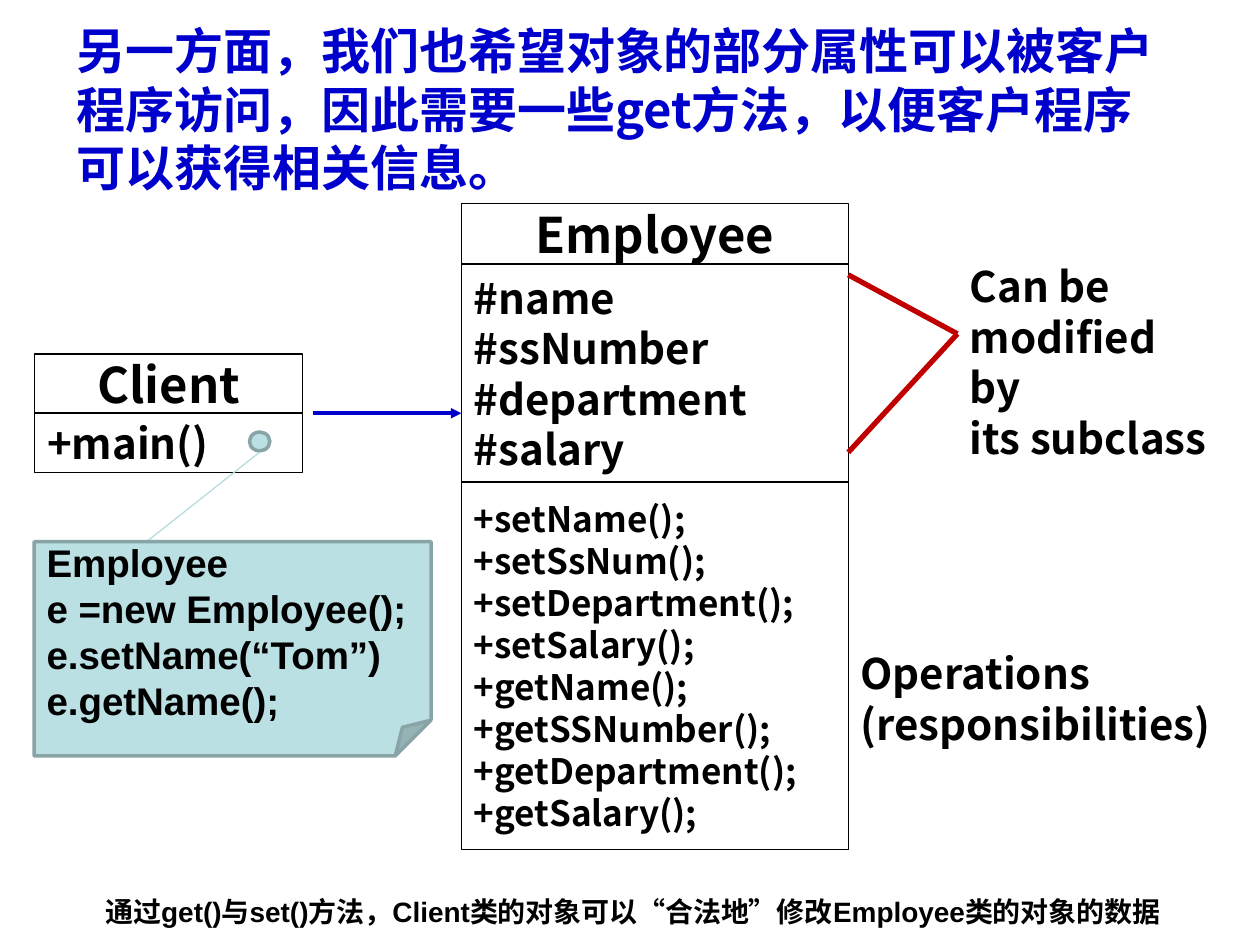
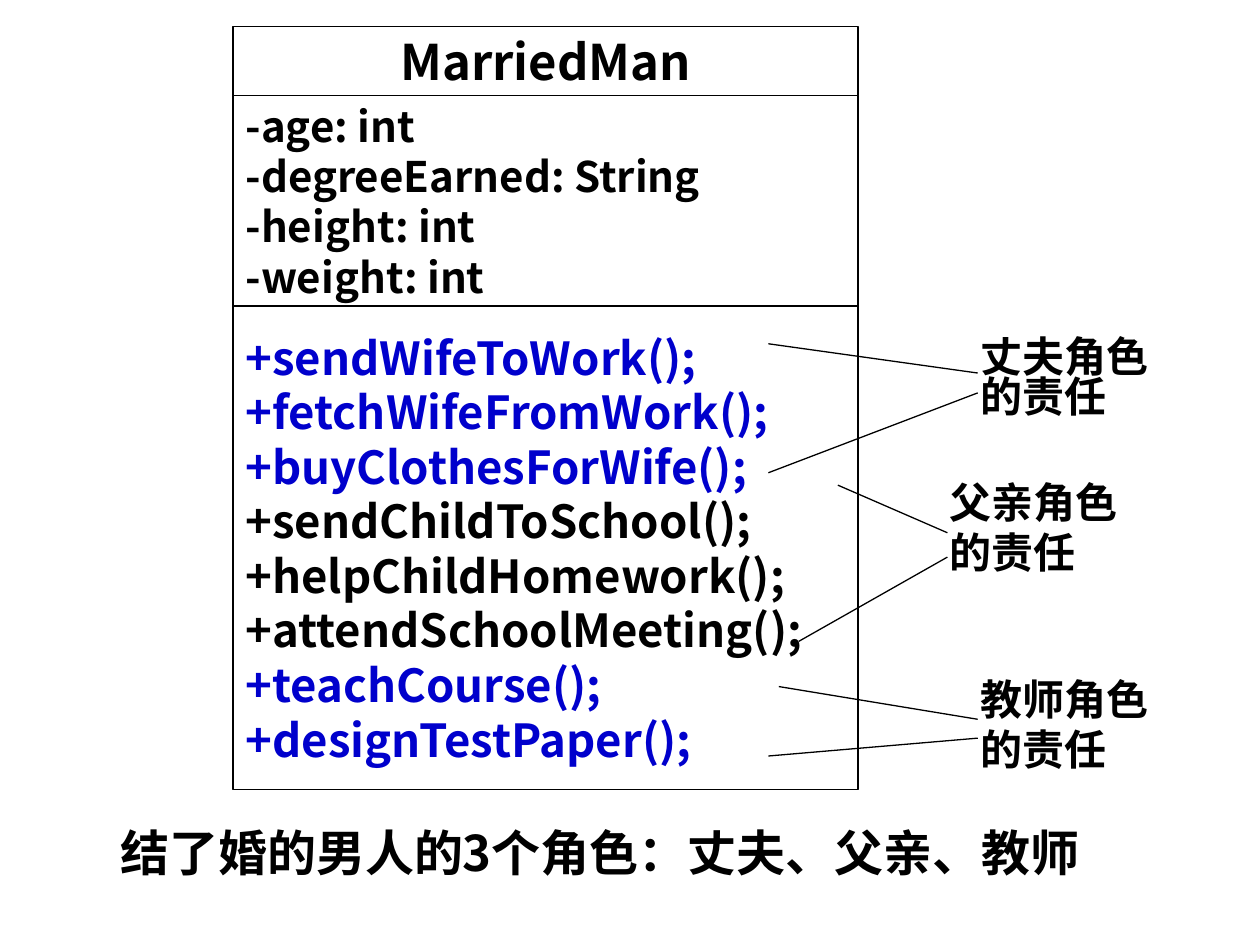
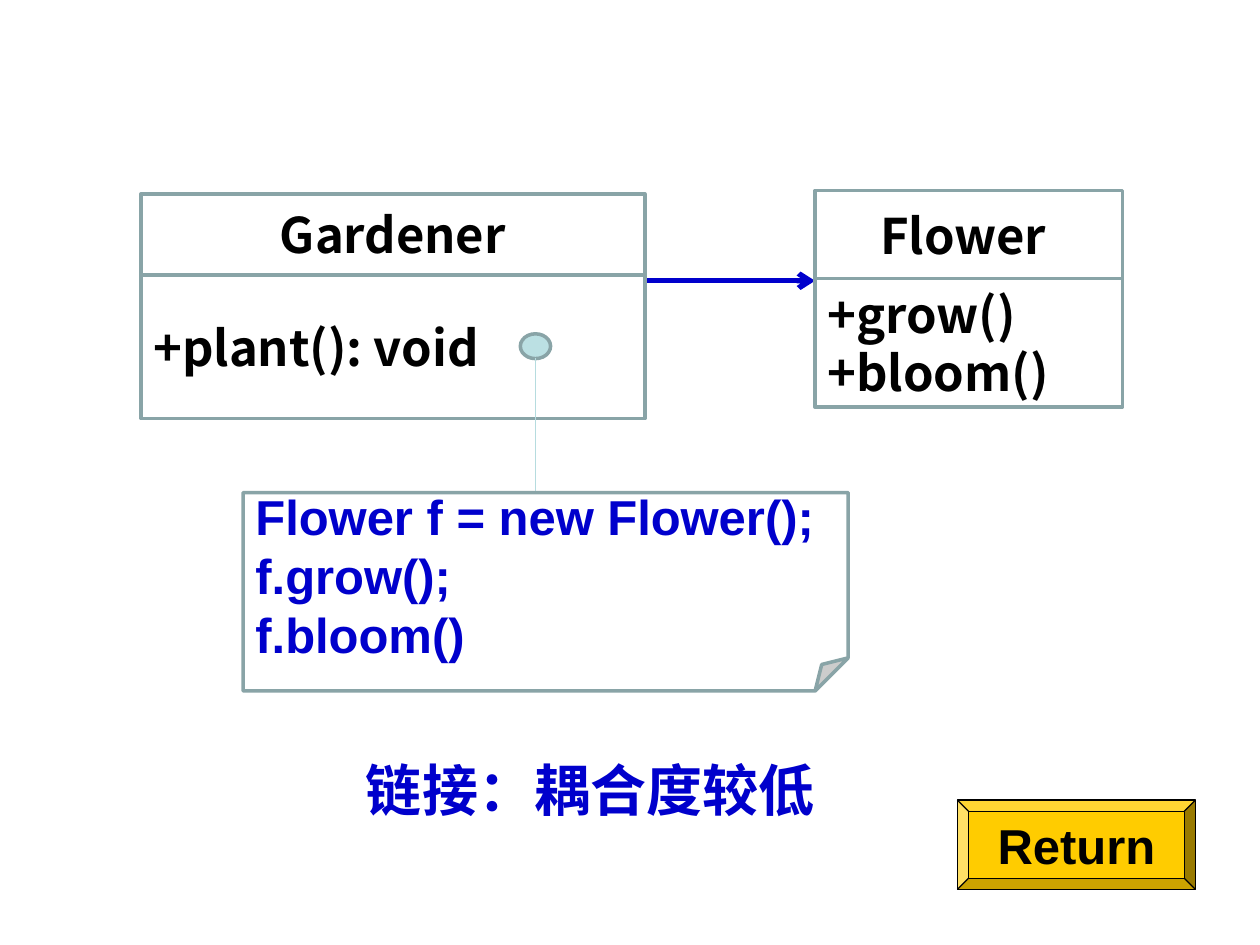
"""Build three slides of class diagrams about accessors, roles and links."""
from dataclasses import dataclass

from lxml import etree
from pptx import Presentation
from pptx.dml.color import RGBColor
from pptx.enum.shapes import MSO_CONNECTOR, MSO_SHAPE
from pptx.enum.text import MSO_ANCHOR, PP_ALIGN
from pptx.oxml.ns import qn
from pptx.util import Cm, Pt

BLACK = RGBColor(0x00, 0x00, 0x00)
WHITE = RGBColor(0xFF, 0xFF, 0xFF)
BLUE = RGBColor(0x00, 0x00, 0xCC)
RED = RGBColor(0xC0, 0x00, 0x00)
AQUA = RGBColor(0xBB, 0xE0, 0xE3)
PALE_AQUA = RGBColor(0xB6, 0xDC, 0xDF)
SLATE = RGBColor(0x89, 0xA4, 0xA7)
GOLD = RGBColor(0xFF, 0xCC, 0x00)

RECT = MSO_SHAPE.RECTANGLE
OVAL = MSO_SHAPE.OVAL
NOTE = MSO_SHAPE.FOLDED_CORNER
BEVEL = MSO_SHAPE.BEVEL
STRAIGHT = MSO_CONNECTOR.STRAIGHT
LEFT, CENTER = PP_ALIGN.LEFT, PP_ALIGN.CENTER
TOP, MIDDLE = MSO_ANCHOR.TOP, MSO_ANCHOR.MIDDLE

SANS = "Noto Sans CJK SC"
ARIAL = "Arial"


@dataclass(frozen=True)
class Area:
    """A rectangle in centimetres."""
    x: float
    y: float
    w: float
    h: float

    def emu(self):
        """Return left, top, width and height as lengths."""
        return Cm(self.x), Cm(self.y), Cm(self.w), Cm(self.h)


@dataclass(frozen=True)
class Line:
    """One paragraph of text."""
    text: str
    color: RGBColor = BLACK


@dataclass(frozen=True)
class Style:
    """How a block of text is set."""
    size: float
    font: str = SANS
    align: PP_ALIGN = LEFT
    spacing: float = 1.0


@dataclass(frozen=True)
class Outline:
    """Colour and width of a stroke."""
    color: RGBColor = BLACK
    width: float = 0.75


@dataclass(frozen=True)
class Part:
    """One compartment of a class box."""
    height: float
    style: Style
    lines: list[Line]


@dataclass(frozen=True)
class Role:
    """A label whose two lines reach into the operation list."""
    label: Area
    name: str
    upper: tuple[float, float]
    upper_tip: float
    lower_tip: float
    lower: tuple[float, float]
    spacing: float = 1.0


THIN = Outline()
FRAME = Outline(SLATE, 2)
NAME = Style(28, align=CENTER)
MEMBER = Style(24)


def lines(*texts: str, color: RGBColor = BLACK) -> list[Line]:
    """Return paragraphs that share one colour."""
    return [Line(text, color) for text in texts]


def write(sp, content: list[Line], style: Style, anchor=TOP, margin: float = 0.25) -> None:
    """Fill a shape with bold paragraphs."""
    tf = sp.text_frame
    tf.word_wrap = True
    tf.vertical_anchor = anchor
    tf.margin_left = tf.margin_right = Cm(margin)
    tf.margin_top = tf.margin_bottom = Cm(0.13)
    for i, line in enumerate(content):
        p = tf.add_paragraph() if i else tf.paragraphs[0]
        p.alignment = style.align
        p.line_spacing = style.spacing
        r = p.add_run()
        r.text = line.text
        r.font.size = Pt(style.size)
        r.font.bold = True
        r.font.name = style.font
        r.font.color.rgb = line.color
        etree.SubElement(r.font._element, qn("a:ea"), typeface=SANS)


def add_text(s, area: Area, content: list[Line], style: Style, margin: float = 0.25) -> None:
    """Place a text box."""
    write(s.shapes.add_textbox(*area.emu()), content, style, margin=margin)


def add_box(s, kind, area: Area, fill: RGBColor, outline: Outline,
            content: list[Line] | None = None, style: Style = MEMBER) -> None:
    """Place a filled and outlined shape, with text if there is any."""
    sp = s.shapes.add_shape(kind, *area.emu())
    sp.shadow.inherit = False
    sp.fill.solid()
    sp.fill.fore_color.rgb = fill
    sp.line.color.rgb = outline.color
    sp.line.width = Pt(outline.width)
    if content:
        write(sp, content, style, MIDDLE)


def add_line(s, start: tuple[float, float], end: tuple[float, float],
             outline: Outline = THIN, head: str = "") -> None:
    """Draw a straight line, with an arrowhead at its end if one is named."""
    cx = s.shapes.add_connector(STRAIGHT, *map(Cm, start + end))
    cx.line.color.rgb = outline.color
    cx.line.width = Pt(outline.width)
    if head:
        etree.SubElement(cx.line._get_or_add_ln(), qn("a:tailEnd"), type=head)
    etree.SubElement(cx._element.spPr, qn("a:effectLst"))


def add_class(s, x: float, y: float, w: float, parts: list[Part],
              outline: Outline = THIN) -> None:
    """Stack the compartments of a class box."""
    for part in parts:
        add_box(s, RECT, Area(x, y, w, part.height), WHITE, outline, part.lines, part.style)
        y += part.height


def add_role(s, role: Role) -> None:
    """Draw a role label and the lines that mark its operations."""
    add_text(s, role.label, lines(role.name, "的责任"), Style(24, spacing=role.spacing))
    tip_x = role.label.x + 0.2
    add_line(s, role.upper, (tip_x, role.upper_tip))
    add_line(s, (tip_x, role.lower_tip), role.lower)


def build_accessors(s) -> None:
    """Show a client that uses the get and set methods of Employee."""
    add_text(s, Area(0.81, 18.03, 23.9, 1.09),
             lines("通过get()与set()方法，Client类的对象可以“合法地”修改Employee类的对象的数据"),
             Style(16, ARIAL, CENTER, 0.8), margin=0)
    add_class(s, 9.3, 4.11, 7.8, [
        Part(1.21, NAME, lines("Employee")),
        Part(4.4, MEMBER, lines("#name", "#ssNumber", "#department", "#salary")),
        Part(7.4, Style(20), lines(
            "+setName();", "+setSsNum();", "+setDepartment();", "+setSalary();",
            "+getName();", "+getSSNumber();", "+getDepartment();", "+getSalary();")),
    ])
    add_text(s, Area(17.1, 12.93, 7.6, 2.29), lines("Operations", "(responsibilities)"), MEMBER)
    add_text(s, Area(1.3, 0.28, 22.2, 3.81),
             lines("另一方面，我们也希望对象的部分属性可以被客户程序访问，因此需要一些get方法，"
                   "以便客户程序可以获得相关信息。", color=BLUE), Style(28))
    for y in (5.54, 9.12):
        add_line(s, (17.1, y), (19.3, 6.73), Outline(RED, 3))
    add_text(s, Area(19.3, 5.13, 5.41, 4.32), lines("Can be modified by", "its subclass"), MEMBER)
    add_class(s, 0.7, 7.14, 5.4, [
        Part(1.19, NAME, lines("Client")),
        Part(1.19, MEMBER, lines("+main()")),
    ])
    add_line(s, (6.3, 8.33), (9.3, 8.33), Outline(BLUE, 2), "triangle")
    add_box(s, OVAL, Area(5.03, 8.71, 0.41, 0.38), AQUA, FRAME)
    add_line(s, (5.23, 9.12), (2.69, 11.13), Outline(PALE_AQUA))
    add_box(s, NOTE, Area(0.69, 10.92, 8, 4.32), AQUA, FRAME,
            lines("Employee", "e =new Employee();", "e.setName(“Tom”)", "e.getName();"),
            Style(22, ARIAL))


def build_roles(s) -> None:
    """Show the three roles held by one class."""
    add_class(s, 4.7, 0.53, 12.6, [
        Part(1.4, NAME, lines("MarriedMan")),
        Part(4.24, MEMBER, lines(
            "-age: int", "-degreeEarned: String", "-height: int", "-weight: int")),
        Part(9.75, Style(26),
             lines("+sendWifeToWork();", "+fetchWifeFromWork();", "+buyClothesForWife();",
                   color=BLUE)
             + lines("+sendChildToSchool();", "+helpChildHomework();", "+attendSchoolMeeting();")
             + lines("+teachCourse();", "+designTestPaper();", color=BLUE)),
    ])
    roles = [
        Role(Area(18.9, 9.47, 4.8, 2.29), "父亲角色",
             (16.89, 9.78), 10.74, 11.23, (16.1, 12.93)),
        Role(Area(19.51, 6.73, 4.8, 1.88), "丈夫角色",
             (15.49, 6.93), 7.52, 7.92, (15.49, 9.53), 0.8),
        Role(Area(19.51, 13.44, 4.8, 2.29), "教师角色",
             (15.7, 13.84), 14.5, 14.88, (15.49, 15.24)),
    ]
    for role in roles:
        add_role(s, role)
    add_text(s, Area(1.09, 16.46, 22, 1.45),
             lines("结了婚的男人的3个角色：丈夫、父亲、教师"), NAME)


def build_link(s) -> None:
    """Show a loose link between Gardener and Flower."""
    add_line(s, (13, 5.66), (16.43, 5.66), Outline(BLUE, 3), "arrow")
    add_class(s, 2.84, 3.91, 10.16, [
        Part(1.63, NAME, lines("Gardener")),
        Part(2.9, Style(28), lines("+plant(): void")),
    ], FRAME)
    add_class(s, 16.43, 3.84, 6.2, [
        Part(1.78, NAME, lines("Flower ")),
        Part(2.59, Style(28), lines("+grow()", "+bloom()")),
    ], FRAME)
    add_box(s, OVAL, Area(10.49, 6.73, 0.61, 0.5), AQUA, FRAME)
    add_line(s, (10.8, 7.21), (10.8, 9.93), Outline(PALE_AQUA))
    add_box(s, NOTE, Area(4.9, 9.93, 12.2, 4), WHITE, FRAME,
            lines("Flower f = new Flower();", "f.grow();", "f.bloom()", color=BLUE),
            Style(28, ARIAL))
    add_text(s, Area(6.1, 15.11, 11.6, 1.63), lines("链接：耦合度较低", color=BLUE),
             Style(32, align=CENTER))
    add_box(s, BEVEL, Area(19.3, 16.13, 4.8, 1.8), GOLD, THIN, lines("Return"),
            Style(28, ARIAL, CENTER))


def main() -> None:
    """Build and save the presentation."""
    prs = Presentation()
    prs.slide_width, prs.slide_height = Cm(25.4), Cm(19.05)
    for build in (build_accessors, build_roles, build_link):
        build(prs.slides.add_slide(prs.slide_layouts[6]))
    prs.save("out.pptx")


if __name__ == "__main__":
    main()
